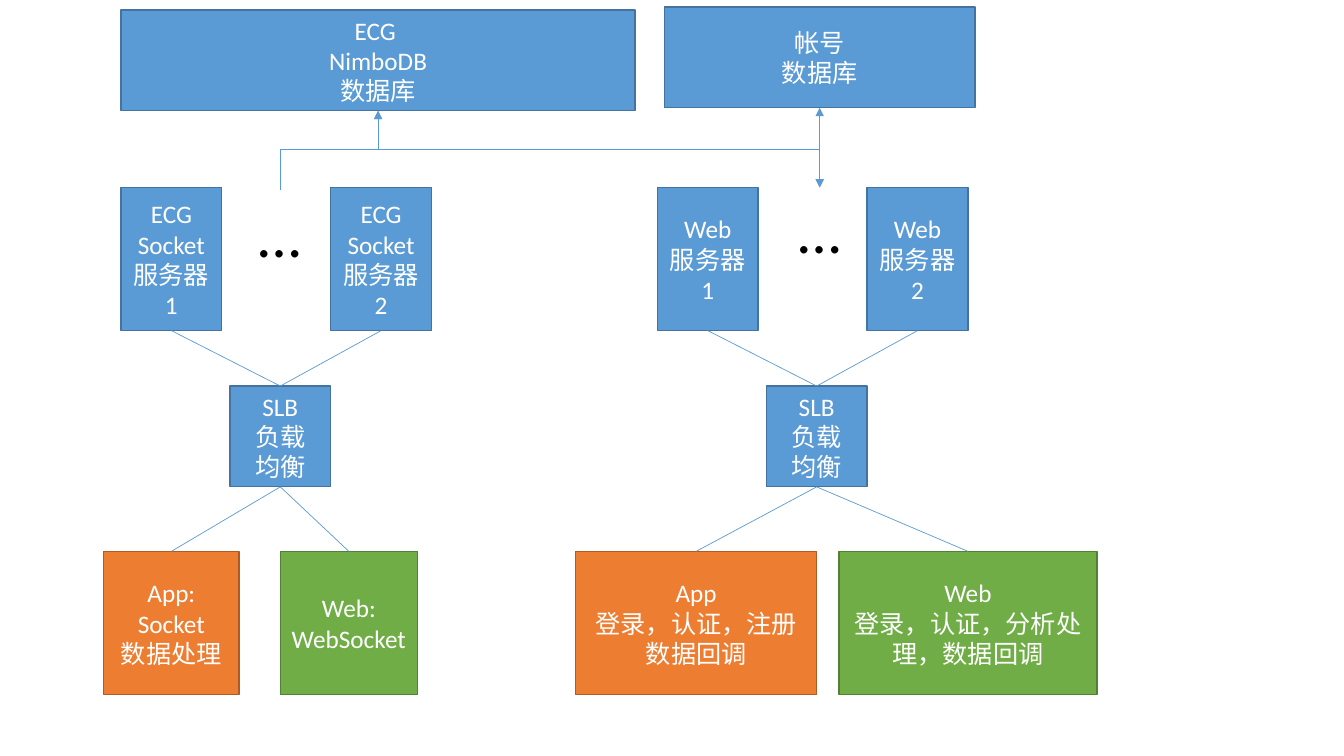
from lxml import etree
from pptx import Presentation
from pptx.dml.color import RGBColor
from pptx.enum.shapes import MSO_CONNECTOR, MSO_SHAPE
from pptx.enum.text import MSO_ANCHOR, MSO_AUTO_SIZE, PP_ALIGN
from pptx.oxml.ns import qn
from pptx.util import Inches, Pt

RECT = MSO_SHAPE.RECTANGLE
LINE, ELBOW = MSO_CONNECTOR.STRAIGHT, MSO_CONNECTOR.ELBOW
MIDDLE, CENTER = MSO_ANCHOR.MIDDLE, PP_ALIGN.CENTER
FIT = MSO_AUTO_SIZE.SHAPE_TO_FIT_TEXT
TOP, BOTTOM = 0, 2  # connection sites of a rectangle

WHITE = RGBColor(0xFF, 0xFF, 0xFF)
BLACK = RGBColor(0, 0, 0)
SKY = RGBColor(0x5B, 0x9B, 0xD5)
BLUE = (SKY, RGBColor(0x43, 0x73, 0x9E))
ORANGE = (RGBColor(0xED, 0x7D, 0x31), RGBColor(0xAF, 0x5C, 0x24))
GREEN = (RGBColor(0x70, 0xAD, 0x47), RGBColor(0x53, 0x80, 0x35))

deck = Presentation()
deck.slide_width, deck.slide_height = Inches(13.33), Inches(7.5)
slide = deck.slides.add_slide(deck.slide_layouts[6])
shapes = slide.shapes


def add_box(text, left, top, width, height, paint=BLUE):
    """Add a filled box with centred white text."""
    box = shapes.add_shape(RECT, Inches(left), Inches(top), Inches(width), Inches(height))
    box.shadow.inherit = False
    box.fill.solid()
    box.fill.fore_color.rgb, box.line.color.rgb = paint
    box.line.width = Pt(1)
    frame = box.text_frame
    frame.word_wrap = True
    frame.vertical_anchor = MIDDLE
    frame.text = text
    for para in frame.paragraphs:
        para.alignment = CENTER
        para.font.size = Pt(18)
        para.font.name = "Calibri"
        para.font.color.rgb = WHITE
    return box


def add_link(kind, start, end, heads=()):
    """Add a thin line with triangles at the named ends."""
    link = shapes.add_connector(kind, *map(Inches, start + end))
    link.line.color.rgb = SKY
    link.line.width = Pt(0.5)
    stroke = link.line._get_or_add_ln()
    for head in heads:
        etree.SubElement(stroke, qn("a:" + head), type="triangle")
    etree.SubElement(link._element.spPr, qn("a:effectLst"))
    return link


# Databases
add_box("ECG \nNimboDB\n数据库", 1.2, 0.1, 5.1, 1)
add_box("帐号\n数据库", 6.59, 0.07, 3.08, 1)

# Each group: left edge, server names, dots position, clients
groups = [
    (1.2, "ECG\nSocket服务器 {}", (2.47, 1.89), [
        ("App:\nSocket\n数据处理", 1.03, 1.34, ORANGE),
        ("Web:\nWebSocket", 2.78, 1.36, GREEN)]),
    (6.52, "Web\n服务器\n{}", (7.82, 1.86), [
        ("App\n登录，认证，注册数据回调", 5.71, 2.39, ORANGE),
        ("Web\n登录，认证，分析处理，数据回调", 8.32, 2.56, GREEN)]),
]
for left, name, spot, clients in groups:
    slb = add_box("SLB\n负载\n均衡", left + 1.08, 3.83, 1, 1)
    ends = [(TOP, add_box(name.format(i + 1), left + 2.08 * i, 1.86, 1, 1.42), BOTTOM)
            for i in range(2)]
    ends += [(BOTTOM, add_box(text, x, 5.47, width, 1.42, paint), TOP)
             for text, x, width, paint in clients]
    for site, box, side in ends:
        link = add_link(LINE, (0, 0), (1, 1))
        link.begin_connect(slb, site)
        link.end_connect(box, side)

    dots = shapes.add_textbox(*map(Inches, spot + (0.63, 0.84)))
    dots.text_frame.word_wrap = False
    dots.text_frame.auto_size = FIT
    para = dots.text_frame.paragraphs[0]
    para.text = "…"
    para.font.size = Pt(44)
    para.font.name = "Calibri"
    para.font.color.rgb = BLACK

# Links to the databases
add_link(LINE, (8.13, 1.86), (8.13, 1.07), ("headEnd", "tailEnd"))
bends = [
    ((3.75, 1.1), (8.13, 1.86), ("headEnd", "tailEnd"), 50000),
    ((2.78, 1.89), (3.75, 1.1), ("tailEnd",), 52100),
]
for (x1, y1), (x2, y2), heads, bend in bends:
    # A quarter turn about the middle makes the elbow leave vertically
    down = y2 > y1
    mid_x, mid_y = (x1 + x2) / 2, (y1 + y2) / 2
    half_w = abs(y2 - y1) / 2
    half_h = (x2 - x1) / 2 if down else (x1 - x2) / 2
    link = add_link(ELBOW, (mid_x + half_w, mid_y - half_h),
                    (mid_x - half_w, mid_y + half_h), heads)
    props = link._element.spPr
    props.find(qn("a:xfrm")).set("rot", str((270 if down else 90) * 60000))
    guides = props.find(qn("a:prstGeom")).find(qn("a:avLst"))
    etree.SubElement(guides, qn("a:gd"), name="adj1", fmla=f"val {bend}")

deck.save("out.pptx")
